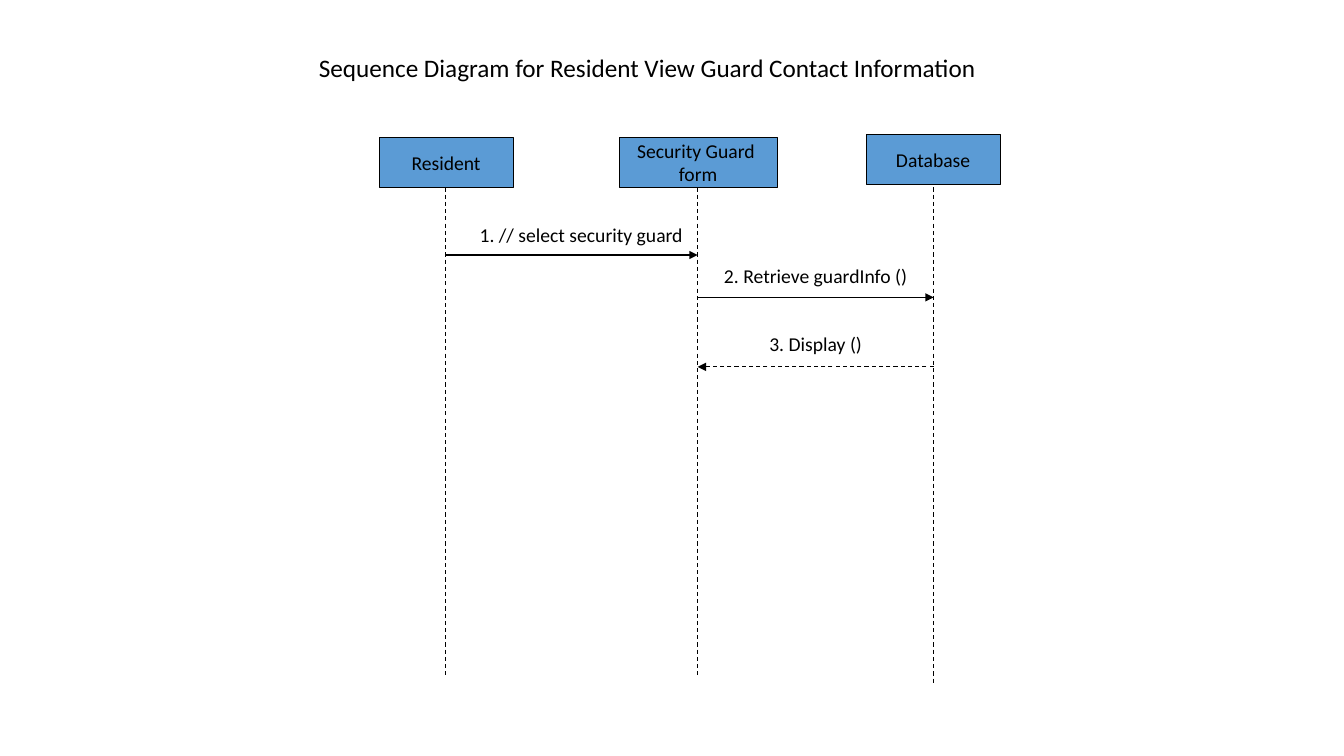
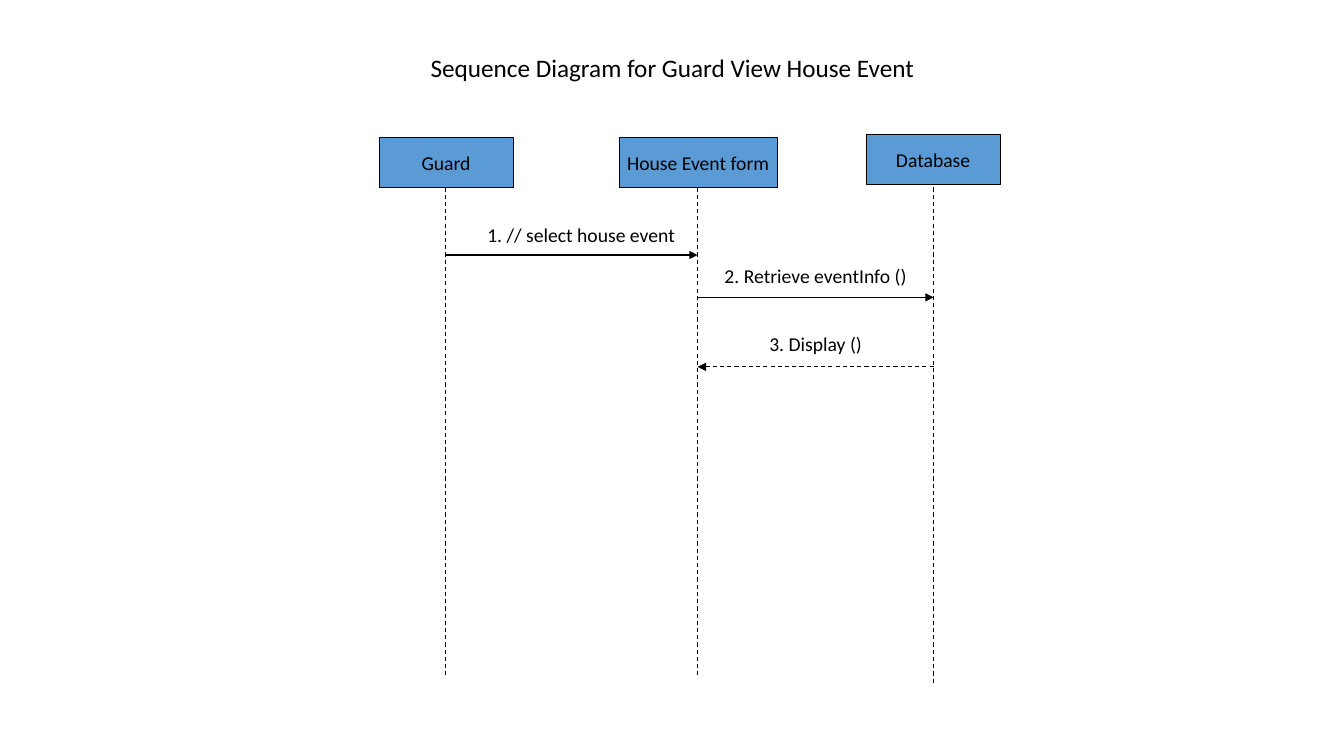
"""Build two sequence diagrams, one per slide."""
from lxml import etree
from pptx import Presentation, util as u
from pptx.dml.color import RGBColor
from pptx.enum import dml, shapes, text
from pptx.oxml.ns import qn

FONT = "Calibri"
BLACK, WHITE, BLUE = "000000", "FFFFFF", "5B9BD5"
rgb = RGBColor.from_string

ACTOR_X, FORM_X, DATA_X = 4.42, 6.92, 9.26
HEADS = [(3.76, 1.36, 1.33, 0.5), (6.14, 1.36, 1.57, 0.5), (8.59, 1.33, 1.33, 0.5)]
LIFELINES = [(ACTOR_X, 6.7), (FORM_X, 6.7), (DATA_X, 6.78)]
LIFELINE_TOP = 1.86
ARROWS = [
    (ACTOR_X, FORM_X, 2.53, False),
    (FORM_X, DATA_X, 2.95, False),
    (DATA_X, FORM_X, 3.64, True),
]
LABELS = [(5.17, 2.2, 1.19, 0.25), (7.09, 2.61, 2, 0.25), (7.09, 3.28, 2, 0.25)]

DIAGRAMS = [
    {
        "title": "Sequence Diagram for Resident View Guard Contact Information",
        "left": 3.67,
        "heads": ["Resident", "Security Guard \nform", "Database"],
        "labels": ["1. // select security guard", "2. Retrieve guardInfo ()", "3. Display ()"],
    },
    {
        "title": "Sequence Diagram for Guard View House Event",
        "left": 3.92,
        "heads": ["Guard", "House Event form", "Database"],
        "labels": ["1. // select house event", "2. Retrieve eventInfo ()", "3. Display ()"],
    },
]


def add_box(s, content, at, size=14, fill=WHITE, line=WHITE, color=BLACK):
    sp = s.shapes.add_shape(shapes.MSO_SHAPE.RECTANGLE, *map(u.Inches, at))
    sp.shadow.inherit = False
    sp.fill.solid()
    sp.fill.fore_color.rgb = rgb(fill)
    sp.line.color.rgb = rgb(line)
    sp.line.width = u.Pt(0.75)
    tf = sp.text_frame
    tf.word_wrap = False
    tf.vertical_anchor = text.MSO_ANCHOR.MIDDLE
    tf.text = content
    for p in tf.paragraphs:
        p.alignment = text.PP_ALIGN.CENTER
        for r in p.runs:
            r.font.name = FONT
            r.font.size = u.Pt(size)
            r.font.color.rgb = rgb(color)


def add_line(s, x1, y1, x2, y2, dashed=False, arrow=False):
    ends = map(u.Inches, (x1, y1, x2, y2))
    cx = s.shapes.add_connector(shapes.MSO_CONNECTOR.STRAIGHT, *ends)
    cx.line.color.rgb = rgb(BLACK)
    cx.line.width = u.Pt(0.75)
    if dashed:
        cx.line.dash_style = dml.MSO_LINE.DASH
    sp_pr = cx._element.spPr
    if arrow:
        etree.SubElement(sp_pr.find(qn("a:ln")), qn("a:tailEnd"), type="triangle")
    etree.SubElement(sp_pr, qn("a:effectLst"))


prs = Presentation()
prs.slide_width, prs.slide_height = u.Inches(13.33), u.Inches(7.5)

for diagram in DIAGRAMS:
    s = prs.slides.add_slide(prs.slide_layouts[6])
    add_box(s, diagram["title"], (diagram["left"], 0.33, 5.5, 0.67), size=18)
    for name, at in zip(diagram["heads"], HEADS):
        add_box(s, name, at, fill=BLUE, line=BLACK)
    for x, bottom in LIFELINES:
        add_line(s, x, LIFELINE_TOP, x, bottom, dashed=True)
    for start, end, y, dashed in ARROWS:
        add_line(s, start, y, end, y, dashed=dashed, arrow=True)
    for label, at in zip(diagram["labels"], LABELS):
        add_box(s, label, at)

prs.save("out.pptx")
